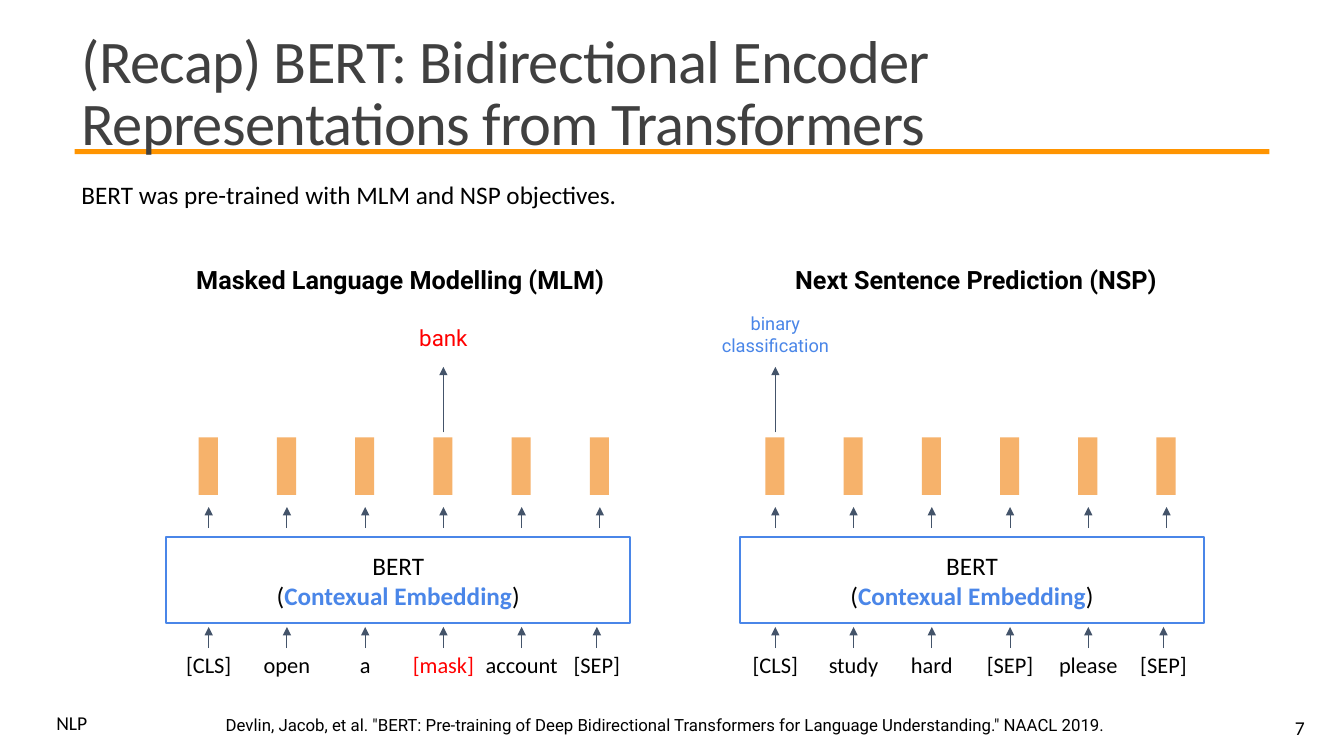
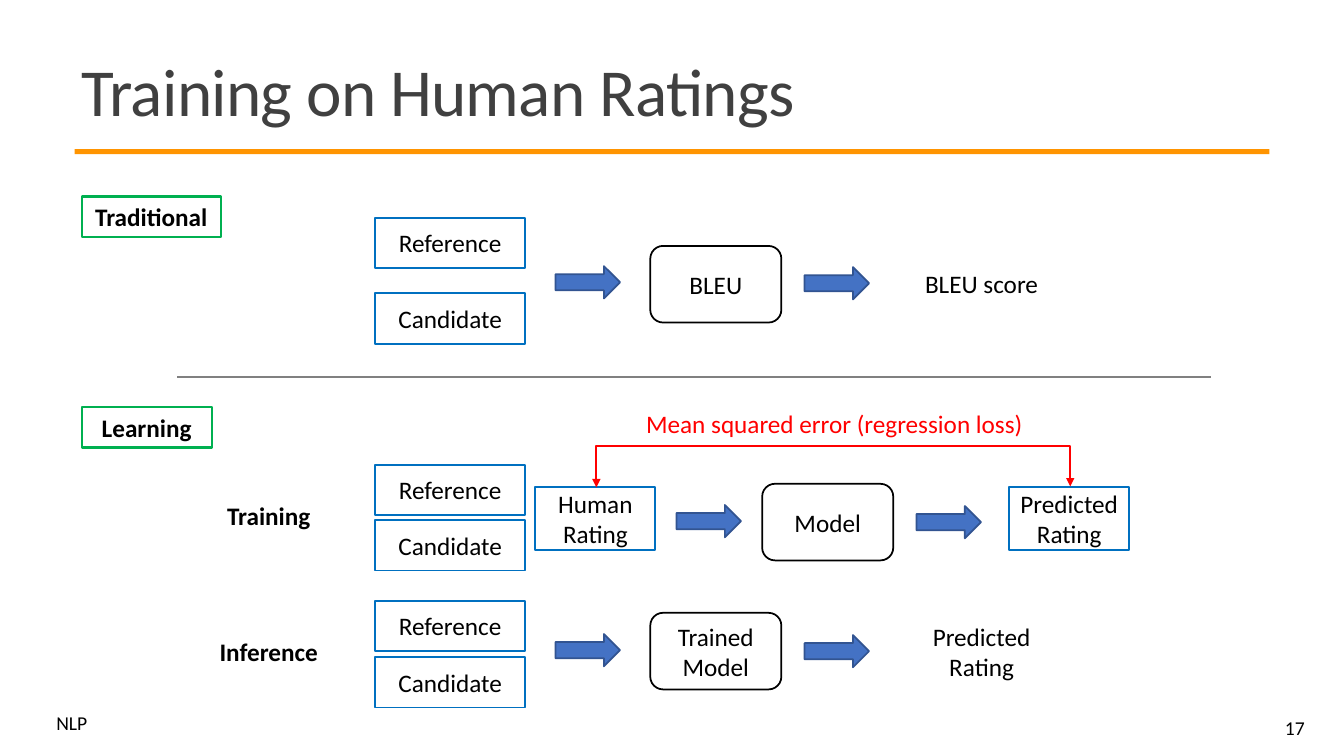
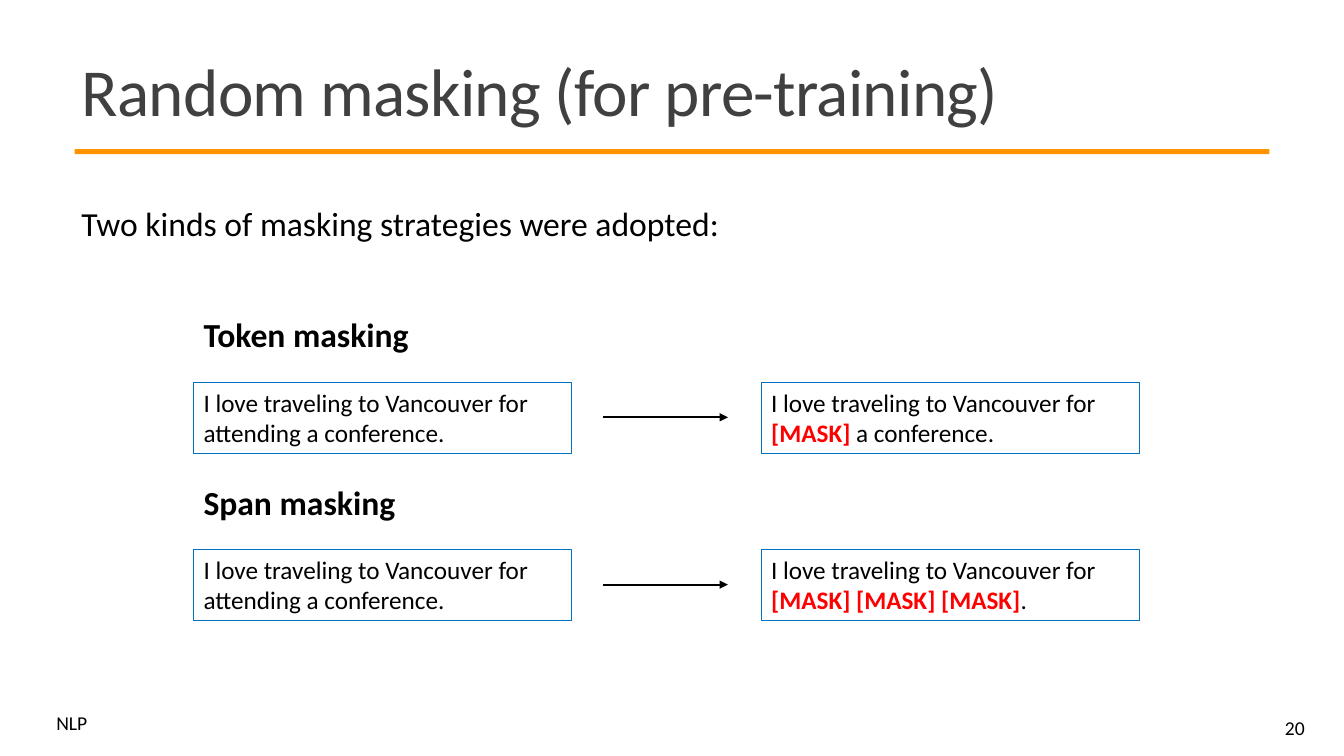
from lxml import etree
from pptx import Presentation
from pptx.dml.color import RGBColor
from pptx.enum.shapes import MSO_CONNECTOR as CONN, MSO_SHAPE as SHAPE
from pptx.enum.text import MSO_ANCHOR as ANCHOR, MSO_AUTO_SIZE as AUTO, PP_ALIGN as ALIGN
from pptx.oxml.ns import qn
from pptx.util import Inches, Pt

BLACK, RED, BLUE, SKY = "000000", "FF0000", "0070C0", "4A86E8"
GREEN, SLATE, ORANGE, PEACH, GREY = "00B050", "44546A", "FF9400", "F6B26B", "404040"

BERT = ["BERT", ["(", ("Contexual Embedding", SKY, True), ")"]]
CITATION = ('Devlin, Jacob, et al. "BERT: Pre-training of Deep Bidirectional Transformers '
            'for Language Understanding." NAACL 2019.')
PANELS = [
    dict(heading="Masked Language Modelling (MLM)", middle=3.97, box=1.65, first=2.07,
         tokens=["[CLS]", "open", "a", "[mask]", "account", "[SEP]"],
         target=3, output="bank", output_top=3.12, size=16, color=RED),
    dict(heading="Next Sentence Prediction (NSP)", middle=9.68, box=7.34, first=7.69,
         tokens=["[CLS]", "study", "hard", "[SEP]", "please", "[SEP]"],
         target=0, output="binary classification", output_top=3, size=13, color=SKY),
]

TAGS = [("Traditional", 1.95, 1.38), ("Learning", 4.04, 1.29)]
STAGES = [("Training", 4.91), ("Inference", 6.26)]
PAIRS = [(2.16, 0.75), (4.61, 0.55), (5.96, 0.56)]
SCORERS = [("BLEU", 6.45, 2.44), ("Model", 7.56, 4.8), ("Trained Model", 6.45, 6.08)]
RATINGS = [("Human Rating", 5.31), ("Predicted Rating", 10.01)]
RESULTS = [("BLEU score", 2.56), ("Predicted Rating", 6.21)]
FLOWS = [(5.51, 7.98, 2.64), (6.71, 9.09, 5.01), (5.51, 7.98, 6.29)]

SENTENCE = "I love traveling to Vancouver for "
MASKINGS = [
    ("Token masking", 3.07, [("[MASK] ", RED, True), "a conference."]),
    ("Span masking", 4.73, [("[MASK] [MASK] [MASK]", RED, True), "."]),
]


def rgb(value):
    return RGBColor.from_string(value)


def write(sp, content, size=18, color=BLACK, bold=False, font="Calibri",
          align=ALIGN.LEFT, anchor=ANCHOR.TOP, inset=0.05, spacing=None):
    tf = sp.text_frame
    tf.word_wrap = True
    tf.auto_size = AUTO.NONE
    tf.vertical_anchor = anchor
    tf.margin_left = tf.margin_right = Inches(0.1)
    tf.margin_top = tf.margin_bottom = Inches(inset)
    for i, runs in enumerate([content] if isinstance(content, str) else content):
        p = tf.add_paragraph() if i else tf.paragraphs[0]
        p.alignment = align
        p.line_spacing = spacing
        for run in [runs] if isinstance(runs, str) else runs:
            words, ink, heavy = (run, color, bold) if isinstance(run, str) else run
            r = p.add_run()
            r.text = words
            r.font.name = font
            r.font.size = Pt(size)
            r.font.bold = heavy
            r.font.color.rgb = rgb(ink)


def text(slide, x, y, w, h, content, **style):
    sp = slide.shapes.add_textbox(Inches(x), Inches(y), Inches(w), Inches(h))
    write(sp, content, **style)
    return sp


def shape(slide, kind, x, y, w, h, fill=None, line=None, width=1.25, content=None, **style):
    sp = slide.shapes.add_shape(kind, Inches(x), Inches(y), Inches(w), Inches(h))
    sp.shadow.inherit = False
    if fill:
        sp.fill.solid()
        sp.fill.fore_color.rgb = rgb(fill)
    else:
        sp.fill.background()
    if line:
        sp.line.color.rgb = rgb(line)
        sp.line.width = Pt(width)
    else:
        sp.line.fill.background()
    if content:
        write(sp, content, **{"align": ALIGN.CENTER, "anchor": ANCHOR.MIDDLE, **style})
    return sp


def connect(slide, x1, y1, x2, y2, color, width, ends=("tailEnd",), kind=CONN.STRAIGHT):
    line = slide.shapes.add_connector(kind, Inches(x1), Inches(y1), Inches(x2), Inches(y2))
    line.line.color.rgb = rgb(color)
    line.line.width = Pt(width)
    for end in ends:
        etree.SubElement(line.line._get_or_add_ln(), qn("a:" + end), type="triangle")
    etree.SubElement(line.element.spPr, qn("a:effectLst"))
    return line


def dress_layout(layout, slide):
    band = shape(slide, SHAPE.RECTANGLE, 0.74, 1.48, 11.85, 0.05, fill=ORANGE)
    footer = text(slide, 0.46, 7.05, 0.61, 0.29, "NLP", size=14, spacing=0.8)
    for sp in (band, footer):
        layout.shapes.element.append(sp.element)
    title = layout.placeholders[0]
    title.left, title.top = Inches(0.71), Inches(0.39)
    title.width, title.height = Inches(11.94), Inches(1.13)


def new_slide(prs, title, number, size=48):
    slide = prs.slides.add_slide(prs.slide_layouts[5])
    sp = slide.shapes.title
    write(sp, title, size=size, color=GREY, anchor=ANCHOR.MIDDLE, spacing=0.85)
    sp.text_frame.paragraphs[0].runs[0].font._element.set("spc", "-50")
    text(slide, 11.61, 7.02, 1.43, 0.4, number, size=14, align=ALIGN.RIGHT,
         anchor=ANCHOR.MIDDLE)
    return slide


def draw_panel(slide, panel):
    roboto = dict(font="Roboto", align=ALIGN.CENTER, inset=0.1)
    text(slide, panel["middle"] - 2.15, 2.52, 4.3, 0.5, panel["heading"], bold=True, **roboto)
    shape(slide, SHAPE.RECTANGLE, panel["box"], 5.33, 4.6, 0.85, line=SKY, width=1.5,
          content=BERT, inset=0.1)
    last = len(panel["tokens"]) - 1
    for i, token in enumerate(panel["tokens"]):
        x = panel["first"] + i * 3.88 / last
        token_x = x - 0.03 if i == last else x
        shape(slide, SHAPE.RECTANGLE, x - 0.1, 4.34, 0.19, 0.57, fill=PEACH)
        connect(slide, x, 5.24, x, 5.03, SLATE, 0.75)
        connect(slide, token_x, 6.43, token_x, 6.22, SLATE, 0.75)
        text(slide, token_x - 0.48, 6.41, 0.96, 0.37, token, size=16, align=ALIGN.CENTER,
             color=RED if token == "[mask]" else BLACK)
        if i == panel["target"]:
            connect(slide, x, 4.29, x, 3.64, SLATE, 0.75)
            text(slide, x - 0.65, panel["output_top"], 1.3, 0.64, panel["output"],
                 size=panel["size"], color=panel["color"], **roboto)


def bert_slide(prs):
    slide = new_slide(prs, "(Recap) BERT: Bidirectional Encoder Representations from Transformers",
                      "7", 43.2)
    dress_layout(prs.slide_layouts[5], slide)
    text(slide, 0.71, 1.73, 5.71, 0.4, "BERT was pre-trained with MLM and NSP objectives.")
    for panel in PANELS:
        draw_panel(slide, panel)
    text(slide, 2.14, 6.99, 9.05, 0.4, CITATION, size=12, font="Roboto", inset=0.1)


def loss_link(slide):
    link = connect(slide, 8.27, 7.18, 8.26, 2.48, RED, 1.5, ("headEnd", "tailEnd"), CONN.ELBOW)
    link.element.spPr.find(qn("a:xfrm")).set("rot", "5400000")
    guides = link.element.spPr.find(qn("a:prstGeom")).get_or_add_avLst()
    etree.SubElement(guides, qn("a:gd"), name="adj1", fmla="val 4200000")


def ratings_slide(prs):
    slide = new_slide(prs, "Training on Human Ratings", "17")
    for label, y, w in TAGS:
        shape(slide, SHAPE.RECTANGLE, 0.81, y, w, 0.4, line=GREEN, width=1.5,
              content=label, bold=True)
    for label, y in STAGES:
        text(slide, 2.02, y, 1.29, 0.4, label, bold=True, align=ALIGN.CENTER)
    for top, pitch in PAIRS:
        for i, label in enumerate(["Reference", "Candidate"]):
            shape(slide, SHAPE.RECTANGLE, 3.72, top + i * pitch, 1.49, 0.5, line=BLUE,
                  content=label)
    for label, x, y in SCORERS:
        shape(slide, SHAPE.ROUNDED_RECTANGLE, x, y, 1.3, 0.76, line=BLACK, content=label)
    for label, x in RATINGS:
        shape(slide, SHAPE.RECTANGLE, x, 4.83, 1.19, 0.63, line=BLUE, content=label)
    for label, y in RESULTS:
        text(slide, 8.99, y, 1.49, 0.5, label, align=ALIGN.CENTER, anchor=ANCHOR.MIDDLE)
    for before, after, y in FLOWS:
        for x, top in ((before, y), (after, y + 0.01)):
            shape(slide, SHAPE.RIGHT_ARROW, x, top, 0.64, 0.32, fill="4472C4", line="325491")
    loss_link(slide)
    text(slide, 6.31, 4, 3.99, 0.4, "Mean squared error (regression loss)", color=RED)
    connect(slide, 1.76, 3.74, 12.01, 3.74, "808080", 1, ends=())


def masking_slide(prs):
    slide = new_slide(prs, "Random masking (for pre-training)", "20")
    text(slide, 0.71, 1.76, 11, 0.64, "Two kinds of masking strategies were adopted:",
         size=24, spacing=1.5)
    for heading, y, masked in MASKINGS:
        text(slide, 1.92, y, 2.35, 0.5, heading, size=24, bold=True)
        top = y + 0.72
        for x, words in ((1.92, ["attending a conference."]), (7.55, masked)):
            shape(slide, SHAPE.RECTANGLE, x, top, 3.75, 0.71, line=BLUE, width=0.75,
                  content=[[SENTENCE + words[0]] if x < 7 else [SENTENCE, *words]],
                  align=ALIGN.LEFT, anchor=ANCHOR.TOP)
        connect(slide, 5.98, top + 0.35, 7.22, top + 0.35, BLACK, 1.5)


def main():
    prs = Presentation()
    prs.slide_width, prs.slide_height = Inches(13.33), Inches(7.5)
    bert_slide(prs)
    ratings_slide(prs)
    masking_slide(prs)
    prs.save("out.pptx")


if __name__ == "__main__":
    main()
